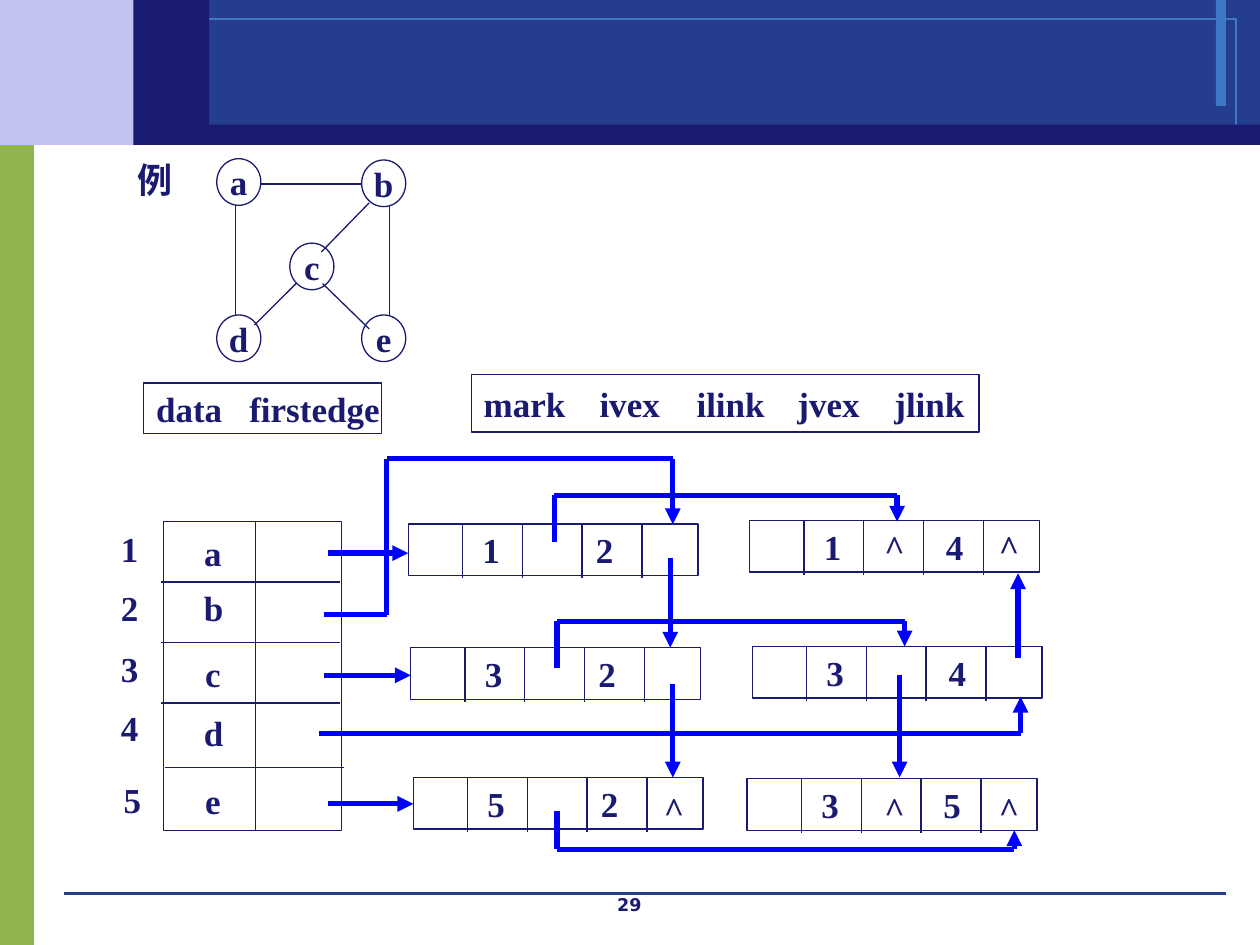
from lxml.etree import SubElement as Sub
from pptx import Presentation
from pptx.dml.color import RGBColor
from pptx.enum.shapes import MSO_CONNECTOR as Conn, MSO_SHAPE as Kind
from pptx.enum.text import MSO_ANCHOR as Anchor, PP_ALIGN as Align
from pptx.oxml.ns import qn
from pptx.util import Inches, Pt

NAVY, BLUE, SKY, LINK = "1A1A70", "243D8C", "3E78C6", "0000FF"
SERIF = "Times New Roman"


def color(code):
    return RGBColor.from_string(code)


def write(shape, text, size=20, face=SERIF, align=Align.CENTER, wrap=False, tabs=()):
    frame = shape.text_frame
    frame.word_wrap = wrap
    frame.vertical_anchor = Anchor.MIDDLE
    para = frame.paragraphs[0]
    para.alignment = align
    if tabs:
        stops = Sub(para._p.get_or_add_pPr(), qn("a:tabLst"))
        for tab in tabs:
            Sub(stops, qn("a:tab"), pos=str(Inches(tab)), algn="l")
    run = para.add_run()
    run.text = text
    font = run.font
    font.size, font.name, font.bold = Pt(size), face, True
    font.color.rgb = color(NAVY)


def label(slide, text, x, y, w=0.34, h=0.43, **style):
    box = slide.shapes.add_textbox(Inches(x), Inches(y), Inches(w), Inches(h))
    write(box, text, **style)


def block(slide, x, y, w, h, fill=None, edge=None, width=0.75, kind=Kind.RECTANGLE):
    shape = slide.shapes.add_shape(kind, Inches(x), Inches(y), Inches(w), Inches(h))
    shape.shadow.inherit = False
    if fill:
        shape.fill.solid()
        shape.fill.fore_color.rgb = color(fill)
    else:
        shape.fill.background()
    if edge:
        shape.line.color.rgb = color(edge)
        shape.line.width = Pt(width)
    else:
        shape.line.fill.background()
    return shape


def line(slide, x1, y1, x2, y2, tint=NAVY, width=0.75, arrow=False):
    link = slide.shapes.add_connector(
        Conn.STRAIGHT, Inches(x1), Inches(y1), Inches(x2), Inches(y2))
    link.line.color.rgb = color(tint)
    link.line.width = Pt(width)
    if arrow:
        Sub(link.line._get_or_add_ln(), qn("a:tailEnd"), type="triangle")
    Sub(link._element.spPr, qn("a:effectLst"))


def route(slide, *points):
    last = len(points) - 2
    for i, (start, end) in enumerate(zip(points, points[1:])):
        line(slide, *start, *end, LINK, 3, i == last)


def backdrop(slide, w, h):
    block(slide, 0, 1.07, 0.27, h - 1.07, "90B54D")
    block(slide, 0, 0, 1.53, 1.15, "C3C3F1")
    block(slide, 1.53, 0, w - 1.53, 1.15, BLUE)
    block(slide, 9.65, 0, 0.08, 0.84, SKY)
    block(slide, 1.19, 0.15, 8.62, 0.85, edge=SKY, width=0)
    line(slide, 0.51, 7.09, 9.73, 7.09, BLUE, 0)
    block(slide, 1.3, 0.99, w - 1.3, 0.16, NAVY)
    block(slide, 1.06, 0, 0.6, 1.15, NAVY)
    label(slide, "29", 3.83, 7.05, 2.33, 0.25, size=10, face="DejaVu Sans", wrap=True)


def graph(slide, x, y):
    spots = {"a": (0, 0), "b": (1.15, 0.01), "c": (0.58, 0.67),
             "d": (0, 1.24), "e": (1.15, 1.24)}
    edges = [(0.34, 0.2, 1.15, 0.2), (0.15, 0.37, 0.15, 1.24),
             (1.37, 0.37, 1.37, 1.24), (0.84, 0.99, 1.21, 1.35),
             (1.21, 0.35, 0.83, 0.74), (0.63, 0.99, 0.3, 1.32)]
    for name, (dx, dy) in spots.items():
        write(block(slide, x + dx, y + dy, 0.35, 0.37, edge=NAVY, kind=Kind.OVAL), name)
    for x1, y1, x2, y2 in edges:
        line(slide, x + x1, y + y1, x + x2, y + y2)


def heads(slide, x, y, w, h, words, tabs):
    box = block(slide, x, y, w, h, edge=NAVY)
    box.text_frame.margin_right = 0
    write(box, "\t".join(words), align=Align.LEFT, wrap=True, tabs=tabs)


def vertices(slide, x, y, w, h):
    block(slide, x, y, w, h, edge=NAVY)
    for dx, dy in [(-0.02, 0.48), (-0.02, 0.96), (-0.02, 1.44), (0.01, 1.95)]:
        line(slide, x + dx, y + dy, x + dx + 1.42, y + dy)
    line(slide, x + 0.73, y, x + 0.73, y + h)
    rows = [("a", 0, 0.03), ("b", 0.47, 0.47), ("c", 0.95, 0.99),
            ("d", 1.42, 1.46), ("e", 1.99, 2)]
    for i, (name, top, mid) in enumerate(rows, 1):
        label(slide, str(i), x - (0.42 if i == 5 else 0.44), y + top)
        label(slide, name, x + 0.22, y + mid)


def node(slide, x, y, first, second, tab):
    box = block(slide, x, y, 2.3, 0.41, edge=NAVY)
    write(box, f"\t{first}\t{second}", align=Align.LEFT, wrap=True, tabs=(0.49, tab))
    for i in range(4):
        dx = 0.43 + 0.475 * i
        line(slide, x + dx, y, x + dx, y + 0.43)


def links(slide):
    route(slide, (2.6, 4.39), (3.24, 4.39))
    route(slide, (2.57, 5.36), (3.26, 5.36))
    route(slide, (2.6, 6.38), (3.28, 6.38))
    route(slide, (4.4, 4.3), (4.4, 3.93), (7.12, 3.93), (7.12, 4.14))
    route(slide, (2.57, 4.88), (3.07, 4.88), (3.07, 3.64), (5.34, 3.64), (5.34, 4.16))
    route(slide, (5.32, 4.43), (5.32, 5.14))
    route(slide, (5.34, 5.43), (5.34, 6.17))
    route(slide, (4.42, 5.3), (4.42, 4.93), (7.18, 4.93), (7.18, 5.13))
    route(slide, (7.14, 5.36), (7.14, 6.17))
    route(slide, (2.53, 5.82), (8.1, 5.82), (8.1, 5.53))
    route(slide, (8.08, 5.22), (8.08, 4.55))
    route(slide, (4.42, 6.44), (4.42, 6.74), (8.05, 6.74), (8.05, 6.59))


def main():
    deck = Presentation()
    deck.slide_width, deck.slide_height = Inches(10), Inches(7.5)
    slide = deck.slides.add_slide(deck.slide_layouts[6])
    backdrop(slide, 10, 7.5)
    label(slide, "例", 0.99, 1.21, 0.48)
    graph(slide, 1.72, 1.26)
    vertices(slide, 1.3, 4.14, 1.41, 2.45)
    for x, y, first, second in [(3.24, 4.16, 1, 2), (3.26, 5.14, 3, 2), (3.28, 6.17, 5, 2)]:
        node(slide, x, y, first, second, 1.39)
    for x, y, first, second in [(5.95, 4.13, 1, 4), (5.97, 5.13, 3, 4), (5.93, 6.18, 3, 5)]:
        node(slide, x, y, first, second, 1.46)
    links(slide)
    for x, y in [(6.92, 4.12), (7.83, 4.12), (5.17, 6.2), (6.92, 6.2), (7.83, 6.2)]:
        label(slide, "^", x, y, 0.33, align=Align.LEFT)
    heads(slide, 1.14, 3.04, 1.89, 0.4, ["data", "firstedge"], [0.74])
    heads(slide, 3.74, 2.97, 4.03, 0.46,
          ["mark", "ivex", "ilink", "jvex", "jlink"], [0.92, 1.69, 2.49, 3.26])
    deck.save("out.pptx")


if __name__ == "__main__":
    main()
